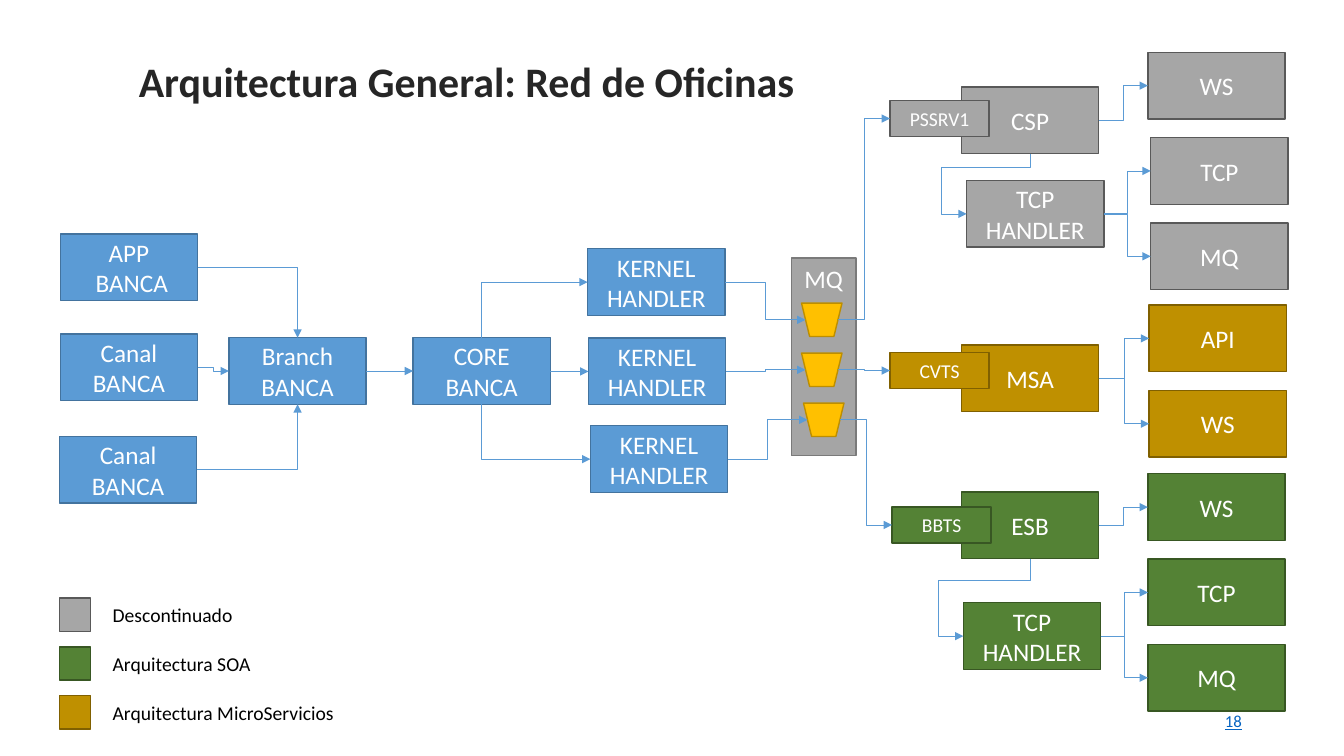
import pptx
import pptx.util
import pptx.dml.color
import pptx.enum.shapes
import pptx.enum.text
import pptx.oxml
import pptx.oxml.ns

Cm = pptx.util.Cm
Pt = pptx.util.Pt
RGBColor = pptx.dml.color.RGBColor
SHAPE = pptx.enum.shapes.MSO_SHAPE
ANCHOR = pptx.enum.text.MSO_ANCHOR
ALIGN = pptx.enum.text.PP_ALIGN
qn = pptx.oxml.ns.qn

WHITE = RGBColor(0xFF, 0xFF, 0xFF)
BLACK = RGBColor(0x00, 0x00, 0x00)
TITLE_INK = RGBColor(0x26, 0x26, 0x26)
LINK_BLUE = RGBColor(0x05, 0x63, 0xC1)
ARROW_BLUE = RGBColor(0x5B, 0x9B, 0xD5)
BLUE = (ARROW_BLUE, RGBColor(0x43, 0x73, 0x9E))
GRAY = (RGBColor(0xA6, 0xA6, 0xA6), RGBColor(0x59, 0x59, 0x59))
GREEN = (RGBColor(0x54, 0x82, 0x35), RGBColor(0x38, 0x57, 0x23))
GOLD = (RGBColor(0xBF, 0x90, 0x00), RGBColor(0x80, 0x60, 0x00))
QUEUE_GRAY = (RGBColor(0xA5, 0xA5, 0xA5), RGBColor(0x7A, 0x7A, 0x7A))
QUEUE_GOLD = (RGBColor(0xFF, 0xC0, 0x00), RGBColor(0xBD, 0x8E, 0x00))

BOX_W, BOX_H = 3.46, 1.68
SERVICE_STEP = 2.15
TOP, LEFT, BOTTOM, RIGHT = range(4)


def write(sp, lines, size, color, align=ALIGN.LEFT, anchor=ANCHOR.TOP,
          bold=None, underline=None, wrap=True):
    tf = sp.text_frame
    tf.word_wrap = wrap
    tf.vertical_anchor = anchor
    for i, line in enumerate(lines):
        p = tf.add_paragraph() if i else tf.paragraphs[0]
        p.alignment = align
        r = p.add_run()
        r.text = line
        r.font.name = "Calibri"
        r.font.size = Pt(size)
        r.font.color.rgb = color
        r.font.bold = bold
        r.font.underline = underline


def add_block(s, x, y, colors, lines=(), w=BOX_W, h=BOX_H, size=18,
              kind=SHAPE.RECTANGLE, anchor=ANCHOR.MIDDLE):
    sp = s.shapes.add_shape(kind, Cm(x), Cm(y), Cm(w), Cm(h))
    sp.shadow.inherit = False
    sp.fill.solid()
    sp.fill.fore_color.rgb = colors[0]
    sp.line.color.rgb = colors[1]
    sp.line.width = Pt(1)
    write(sp, lines, size, WHITE, ALIGN.CENTER, anchor)
    return sp


def add_label(s, x, y, w, h, text, size, color, **style):
    sp = s.shapes.add_textbox(Cm(x), Cm(y), Cm(w), Cm(h))
    write(sp, [text], size, color, **style)
    return sp


def site(sp, side):
    slanted = sp.auto_shape_type == SHAPE.FLOWCHART_MANUAL_OPERATION
    inset = sp.width // 10 if slanted else 0
    x = {LEFT: inset, RIGHT: sp.width - inset}.get(side, sp.width // 2)
    y = {TOP: 0, BOTTOM: sp.height}.get(side, sp.height // 2)
    return sp.left + x, sp.top + y


def connect(s, start, start_side, end, end_side, bends=()):
    x1, y1 = site(start, start_side)
    x2, y2 = site(end, end_side)
    upright = start_side in (TOP, BOTTOM)
    if upright:
        cx, cy, dx, dy = (x1 + x2) // 2, (y1 + y2) // 2, x2 - x1, y2 - y1
        x1, y1 = cx - dy // 2, cy + dx // 2
        x2, y2 = x1 + dy, y1 - dx
    line = s.shapes.add_connector(
        pptx.enum.shapes.MSO_CONNECTOR.ELBOW, x1, y1, x2, y2)
    line.begin_connect(start, start_side)
    line.end_connect(end, end_side)
    line.begin_x, line.begin_y, line.end_x, line.end_y = x1, y1, x2, y2
    line.line.color.rgb = ARROW_BLUE
    line.line.width = Pt(0.5)
    props = line._element.spPr
    if upright:
        props.find(qn("a:xfrm")).set("rot", "5400000")
    geometry = props.find(qn("a:prstGeom"))
    segments = 4 if bends else 2 if (start_side + end_side) % 2 else 3
    geometry.set("prst", f"bentConnector{segments}")
    for i, bend in enumerate(bends, 1):
        guide = pptx.oxml.parse_xml(
            f'<a:gd {pptx.oxml.ns.nsdecls("a")} name="adj{i}" fmla="val {bend}"/>')
        geometry.find(qn("a:avLst")).append(guide)
    arrow = pptx.oxml.parse_xml(
        f'<a:tailEnd {pptx.oxml.ns.nsdecls("a")} type="triangle"/>')
    props.find(qn("a:ln")).append(arrow)
    props.append(pptx.oxml.parse_xml(
        f'<a:effectLst {pptx.oxml.ns.nsdecls("a")}/>'))


def add_title(s, x, y, w, h):
    sp = s.shapes.add_shape(SHAPE.RECTANGLE, Cm(x), Cm(y), Cm(w), Cm(h))
    sp.shadow.inherit = False
    sp.fill.solid()
    sp.fill.fore_color.rgb = WHITE
    sp.line.fill.background()
    write(sp, ["Arquitectura General: Red de Oficinas"], 30, TITLE_INK,
          bold=True, wrap=False)


def add_branch_network(s, x, y):
    app = add_block(s, x + 0.02, y, BLUE, ["APP", " BANCA"])
    middle = add_block(s, x + 0.02, y + 2.52, BLUE, ["Canal BANCA"])
    bottom = add_block(s, x, y + 5.1, BLUE, ["Canal BANCA"])
    branch = add_block(s, x + 4.27, y + 2.61, BLUE, ["Branch", "BANCA"])
    core = add_block(s, x + 8.91, y + 2.61, BLUE, ["CORE", "BANCA"])
    kernels = [add_block(s, x + dx, y + dy, BLUE, ["KERNEL HANDLER"])
               for dx, dy in ((13.31, 0.37), (13.33, 2.62), (13.38, 4.83))]
    connect(s, app, RIGHT, branch, TOP)
    connect(s, middle, RIGHT, branch, LEFT)
    connect(s, bottom, RIGHT, branch, BOTTOM)
    connect(s, branch, RIGHT, core, LEFT)
    for side, kernel in zip((TOP, RIGHT, BOTTOM), kernels):
        connect(s, core, side, kernel, LEFT)
    return kernels


def add_queue(s, x, y, w, h):
    add_block(s, x, y, QUEUE_GRAY, ["MQ"], w, h, anchor=ANCHOR.TOP)
    return [add_block(s, x + dx, y + 1.14 + 1.26 * i, QUEUE_GOLD, w=1.02, h=0.84,
                      kind=SHAPE.FLOWCHART_MANUAL_OPERATION)
            for i, dx in enumerate((0.26, 0.26, 0.31))]


def add_backend(s, x, y, colors, hub, adapter, services, handler=None, bends=()):
    name, hub_dy = hub
    hub_box = add_block(s, x + 1.8, y + hub_dy, colors, [name])
    name, dx, dy = adapter
    adapter_box = add_block(s, x + dx, y + dy, colors, [name], 2.5, 0.9, 14)
    boxes = [add_block(s, x + dx, y + SERVICE_STEP * i, colors, [name])
             for i, (name, dx) in enumerate(services)]
    sources = [hub_box] * len(boxes)
    if handler:
        handler_box = add_block(s, x + handler[0], y + handler[1], colors,
                                ["TCP HANDLER"])
        connect(s, hub_box, BOTTOM, handler_box, LEFT, bends)
        sources[1:] = [handler_box] * (len(boxes) - 1)
    for source, box in zip(sources, boxes):
        connect(s, source, RIGHT, box, LEFT)
    return adapter_box


def add_legend(s, x, y):
    entries = ((GRAY, "Descontinuado"), (GREEN, "Arquitectura SOA"),
               (GOLD, "Arquitectura MicroServicios"))
    for i, (colors, text) in enumerate(entries):
        top = y + 1.23 * i
        add_block(s, x, top, colors, w=0.79, h=0.84)
        add_label(s, x + 1.09, top, 6.65, 0.86, text, 14, BLACK)


def main():
    prs = pptx.Presentation()
    prs.slide_width, prs.slide_height = Cm(33.87), Cm(19.05)
    s = prs.slides.add_slide(prs.slide_layouts[6])

    add_title(s, 3.25, 1.27, 17.2, 1.55)
    kernels = add_branch_network(s, 1.5, 5.9)
    queues = add_queue(s, 19.94, 6.5, 1.63, 4.98)
    adapters = [
        add_backend(s, 22.43, 1.32, GRAY, ("CSP", 0.87), ("PSSRV1", 0, 1.22),
                    (("WS", 6.5), ("TCP", 6.57), ("MQ", 6.57)),
                    (1.93, 3.23), (22800, 139300)),
        add_backend(s, 22.43, 7.69, GOLD, ("MSA", 1), ("CVTS", 0, 1.2),
                    (("API", 6.53), ("WS", 6.53))),
        add_backend(s, 22.43, 11.94, GREEN, ("ESB", 0.46), ("BBTS", 0.05, 0.84),
                    (("WS", 6.5), ("TCP", 6.5), ("MQ", 6.5)),
                    (1.85, 3.25), (28500, 137600)),
    ]
    for kernel, queue, adapter in zip(kernels, queues, adapters):
        connect(s, kernel, RIGHT, queue, LEFT)
        connect(s, queue, RIGHT, adapter, LEFT)
    add_legend(s, 1.5, 15.07)
    add_label(s, 23.93, 17.66, 7.62, 1.01, "18", 12, LINK_BLUE,
              align=ALIGN.RIGHT, anchor=ANCHOR.MIDDLE, underline=True)
    prs.save("out.pptx")


if __name__ == "__main__":
    main()
